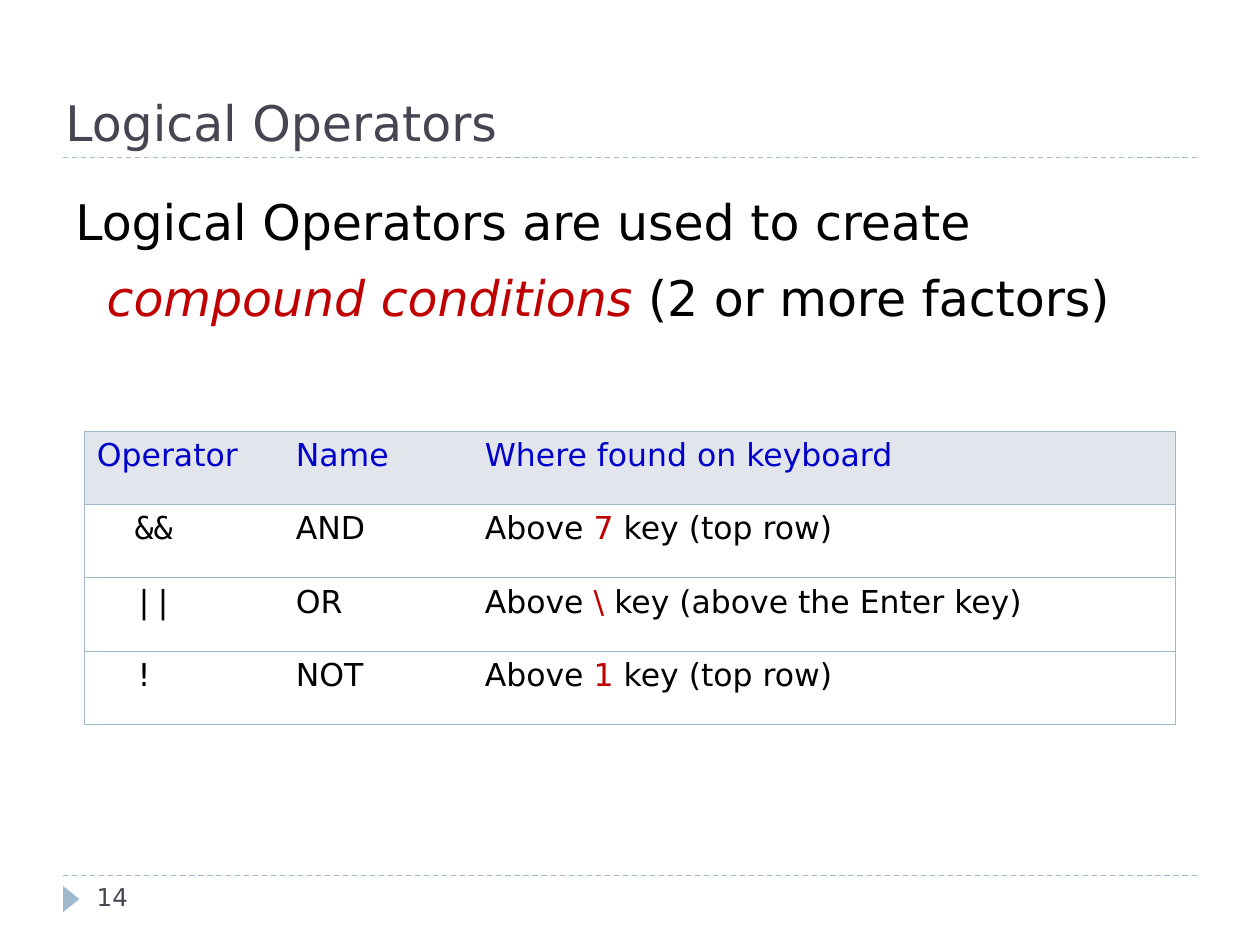
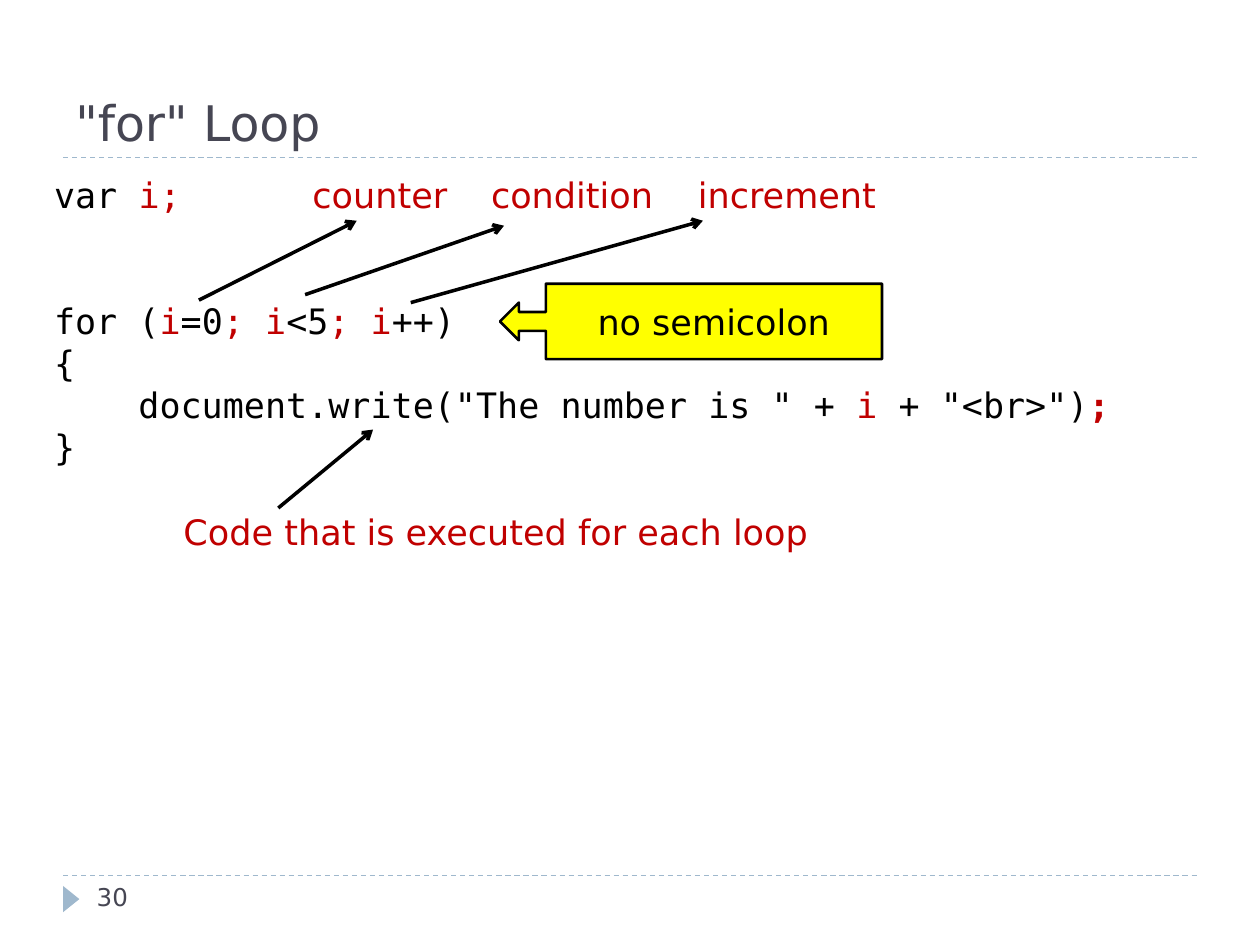
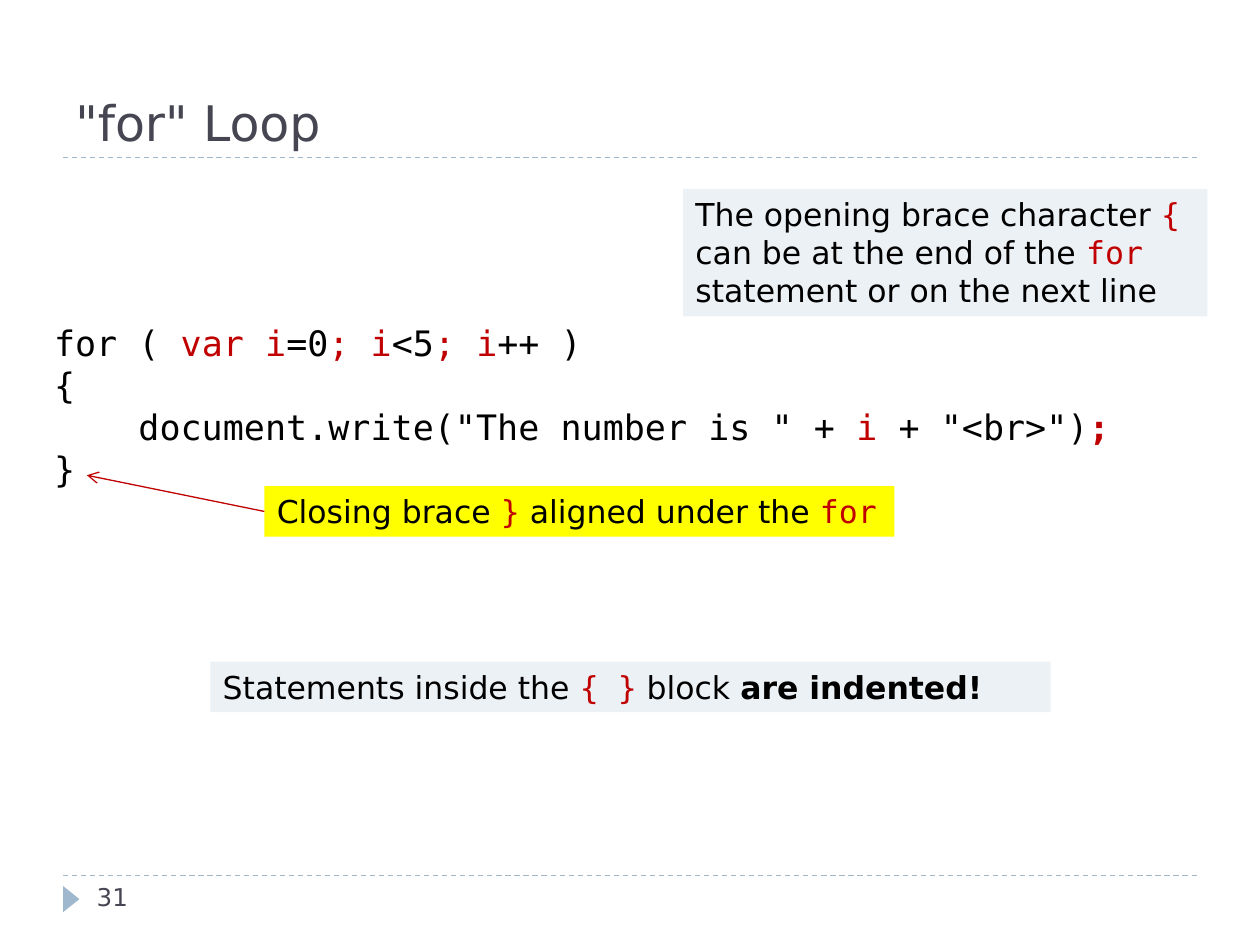
"""Build three slides on logical operators and the for loop."""
from dataclasses import dataclass, replace

from pptx import Presentation
from pptx.dml.color import RGBColor
from pptx.enum.dml import MSO_LINE_DASH_STYLE as Dash
from pptx.enum.shapes import MSO_CONNECTOR as Connector
from pptx.enum.shapes import MSO_SHAPE as Shape
from pptx.enum.text import MSO_ANCHOR as Anchor
from pptx.enum.text import PP_ALIGN as Align
from pptx.oxml.ns import qn
from pptx.util import Cm, Pt

BLACK = "000000"
RED = "C00000"
SLATE = "464653"
STEEL = "9FB8CD"
PALE = "ECF1F5"
YELLOW = "FFFF00"
HEADER_FILL = "E3E5ED"
HEADER_TEXT = "0000CC"


@dataclass(frozen=True)
class Style:
    """Look of a run of text."""
    size: float
    color: str = BLACK
    font: str = "DejaVu Sans"
    bold: bool = False
    italic: bool = False


TITLE = Style(28, SLATE)
NUMBER = Style(14, SLATE)
LEAD = Style(28)
LEAD_KEY = replace(LEAD, color=RED, italic=True)
LABEL = Style(20)
RED_LABEL = Style(20, RED)
CODE = Style(20, font="DejaVu Sans Mono")
CODE_KEY = replace(CODE, color=RED)
NOTE = Style(18)
NOTE_KEY = replace(NOTE, color=RED)
NOTE_BOLD = replace(NOTE, bold=True)
NOTE_CODE = replace(CODE, size=18)
NOTE_CODE_KEY = replace(NOTE_CODE, color=RED)
HEADING = replace(NOTE, color=HEADER_TEXT)


def rgb(value):
    """Turn a hex string into a colour."""
    return RGBColor.from_string(value)


def add_runs(paragraph, runs):
    """Add (text, style) runs to a paragraph."""
    for text, style in runs:
        run = paragraph.add_run()
        run.text = text
        run.font.size = Pt(style.size)
        run.font.name = style.font
        run.font.bold = style.bold
        run.font.italic = style.italic
        run.font.color.rgb = rgb(style.color)


def write_lines(frame, lines, anchor=Anchor.TOP, align=Align.LEFT):
    """Fill a text frame with one paragraph per line and return the paragraphs."""
    frame.word_wrap = True
    frame.vertical_anchor = anchor
    for index, runs in enumerate(lines):
        paragraph = frame.paragraphs[0] if index == 0 else frame.add_paragraph()
        paragraph.alignment = align
        add_runs(paragraph, runs)
    return frame.paragraphs


def indent(paragraph, distance):
    """Indent a whole paragraph."""
    paragraph._p.get_or_add_pPr().set("marL", str(Cm(distance)))


def add_text(slide, box, lines, anchor=Anchor.TOP):
    """Add a text box, given as left, top, width and height in cm."""
    shape = slide.shapes.add_textbox(*map(Cm, box))
    return write_lines(shape.text_frame, lines, anchor)


def add_box(slide, kind, box, fill, lines=(), outline=None, **layout):
    """Add a filled shape with optional text and outline."""
    shape = slide.shapes.add_shape(kind, *map(Cm, box))
    shape.shadow.inherit = False
    shape.fill.solid()
    shape.fill.fore_color.rgb = rgb(fill)
    if outline:
        shape.line.color.rgb = rgb(outline)
        shape.line.width = Pt(1.5)
    else:
        shape.line.fill.background()
    write_lines(shape.text_frame, lines, **layout)
    return shape


def add_line(slide, start, end, color, width):
    """Add a straight line between two points in cm."""
    line = slide.shapes.add_connector(Connector.STRAIGHT, *map(Cm, start + end))
    line.line.color.rgb = rgb(color)
    line.line.width = Pt(width)
    properties = line._element.spPr
    properties.append(properties.makeelement(qn("a:effectLst"), {}))
    return line


def add_arrow(slide, start, end, color=BLACK, width=2):
    """Add a line with an open arrowhead at its end."""
    outline = add_line(slide, start, end, color, width).line._get_or_add_ln()
    outline.append(outline.makeelement(qn("a:tailEnd"), {"type": "arrow"}))


def set_tabs(paragraph, positions):
    """Set left tab stops in cm."""
    properties = paragraph._p.get_or_add_pPr()
    tabs = properties.makeelement(qn("a:tabLst"), {})
    for position in positions:
        tabs.append(tabs.makeelement(qn("a:tab"), {"pos": str(Cm(position)), "algn": "l"}))
    properties.append(tabs)


def set_borders(cell, sides):
    """Draw the named cell borders and clear the others."""
    properties = cell._tc.get_or_add_tcPr()
    for index, side in enumerate("LRTB"):
        border = properties.makeelement(qn(f"a:ln{side}"), {"w": str(Pt(0.75))})
        kind = "a:solidFill" if side in sides else "a:noFill"
        fill = border.makeelement(qn(kind), {})
        if side in sides:
            fill.append(fill.makeelement(qn("a:srgbClr"), {"val": STEEL}))
        border.append(fill)
        properties.insert(index, border)


def add_operator_table(slide, left, top, widths, row_height, rows):
    """Add a table with a tinted heading row and horizontal rules."""
    frame = slide.shapes.add_table(len(rows), len(widths), Cm(left), Cm(top),
                                   Cm(sum(widths)), Cm(row_height * len(rows)))
    table = frame.table
    table.first_row = table.horz_banding = False
    for column, width in zip(table.columns, widths):
        column.width = Cm(width)
    for row_index, row in enumerate(rows):
        table.rows[row_index].height = Cm(row_height)
        for column_index, runs in enumerate(row):
            cell = table.cell(row_index, column_index)
            paragraph = cell.text_frame.paragraphs[0]
            add_runs(paragraph, runs)
            if row_index == 0:
                cell.fill.solid()
                cell.fill.fore_color.rgb = rgb(HEADER_FILL)
            else:
                cell.fill.background()
                if column_index == 0:
                    indent(paragraph, 0.76)
            edges = {0: "LTB", len(widths) - 1: "RTB"}
            set_borders(cell, edges.get(column_index, "TB"))


def add_base(presentation, title, number, title_left=1.27):
    """Add a slide with its title, rules, marker and number."""
    slide = presentation.slides.add_slide(presentation.slide_layouts[6])
    for height in (17.65, 3.18):
        add_line(slide, (1.27, height), (24.13, height), STEEL, 0.75).line.dash_style = Dash.DASH
    marker = add_box(slide, Shape.ISOSCELES_TRIANGLE, (1.17, 17.96, 0.53, 0.33), STEEL)
    marker.rotation = 90
    title_box = (title_left, 0.43, 25.4 - 2 * title_left, 2.74)
    add_text(slide, title_box, [[(title, TITLE)]], Anchor.BOTTOM)
    add_text(slide, (1.7, 17.65, 5.51, 1.02), [[(str(number), NUMBER)]])
    return slide


def loop_code(opening, counter, closing):
    """Return the lines of the for loop."""
    return [
        [(opening, CODE), (counter, CODE_KEY), ("=0", CODE), ("; i", CODE_KEY),
         ("<5", CODE), ("; i", CODE_KEY), (closing, CODE)],
        [("{", CODE)],
        [('    document.write("The number is " + ', CODE), ("i", CODE_KEY),
         (' + "<br>")', CODE), (";", replace(CODE_KEY, bold=True))],
        [("}", CODE)],
    ]


def build_operators(presentation):
    """Build the slide on logical operators."""
    slide = add_base(presentation, "Logical Operators", 14, 1.07)
    paragraphs = add_text(slide, (1.27, 3.38, 22.86, 4.65), [
        [("Logical Operators are used to create", LEAD)],
        [("compound conditions ", LEAD_KEY), ("(2 or more factors)", LEAD)],
    ])
    for paragraph in paragraphs:
        paragraph.line_spacing = 1.3
    indent(paragraphs[1], 0.63)
    headings = ("Operator", "Name", "Where found on keyboard")
    operators = (("&&", "AND", "7", "top row"),
                 ("||", "OR", "\\", "above the Enter key"),
                 ("!", "NOT", "1", "top row"))
    rows = [[[(heading, HEADING)] for heading in headings]]
    for symbol, name, key, place in operators:
        rows.append([[(symbol, NOTE_CODE)], [(name, NOTE)],
                     [("Above ", NOTE), (key, NOTE_KEY), (f" key ({place})", NOTE)]])
    add_operator_table(slide, 1.7, 8.69, (4.01, 3.81, 14.17), 1.48, rows)


def build_loop_parts(presentation):
    """Build the slide that labels the parts of the loop."""
    slide = add_base(presentation, '"for" Loop', 30)
    declaration = [("var ", CODE), ("i;", CODE_KEY)]
    paragraphs = add_text(slide, (0.84, 3.38, 24.56, 13.72),
                          [declaration] + loop_code("for (", "i", "++)"))
    paragraphs[1].space_before = Pt(48)
    for start, end in (((4.01, 6.05), (7.19, 4.45)), ((6.15, 5.94), (10.16, 4.55)),
                       ((8.28, 6.1), (14.17, 4.45)), ((5.61, 10.24), (7.52, 8.66))):
        add_arrow(slide, start, end)
    labels = add_text(slide, (6.05, 3.38, 12.6, 1.12),
                      [[("counter\tcondition\tincrement", RED_LABEL)]])
    set_tabs(labels[0], (3.6, 7.77))
    add_text(slide, (3.45, 10.16, 13.23, 1.12),
             [[("Code that is executed for each loop", RED_LABEL)]])
    callout = add_box(slide, Shape.LEFT_ARROW_CALLOUT, (10.08, 5.72, 7.7, 1.52), YELLOW,
                      [[("no semicolon", LABEL)]], BLACK,
                      anchor=Anchor.MIDDLE, align=Align.CENTER)
    for index, value in enumerate((0.25, 0.25, 0.25, 0.88)):
        callout.adjustments[index] = value


def build_loop_layout(presentation):
    """Build the slide on braces and indentation."""
    slide = add_base(presentation, '"for" Loop', 31)
    add_text(slide, (0.84, 6.35, 22.66, 4.24), loop_code("for ( ", "var i", "++ )"))
    notes = (
        ((4.24, 13.34, 16.94, 1.02), PALE,
         [[("Statements inside the ", NOTE), ("{ }", NOTE_CODE_KEY),
           (" block ", NOTE), ("are indented!", NOTE_BOLD)]]),
        ((13.77, 3.81, 10.57, 2.57), PALE,
         [[("The opening brace character ", NOTE), ("{", NOTE_CODE_KEY)],
          [("can be at the end of the ", NOTE), ("for", NOTE_CODE_KEY)],
          [("statement or on the next line", NOTE)]]),
        ((5.33, 9.8, 12.7, 1.02), YELLOW,
         [[("Closing brace ", NOTE), ("}", NOTE_CODE_KEY),
           (" aligned under the ", NOTE), ("for", NOTE_CODE_KEY)]]),
    )
    for box, fill, lines in notes:
        add_box(slide, Shape.RECTANGLE, box, fill, lines)
    add_arrow(slide, (5.33, 10.31), (1.75, 9.58), RED, 0.75)


def main():
    """Build and save the presentation."""
    presentation = Presentation()
    presentation.slide_width = Cm(25.4)
    presentation.slide_height = Cm(19.05)
    build_operators(presentation)
    build_loop_parts(presentation)
    build_loop_layout(presentation)
    presentation.save("out.pptx")


if __name__ == "__main__":
    main()
